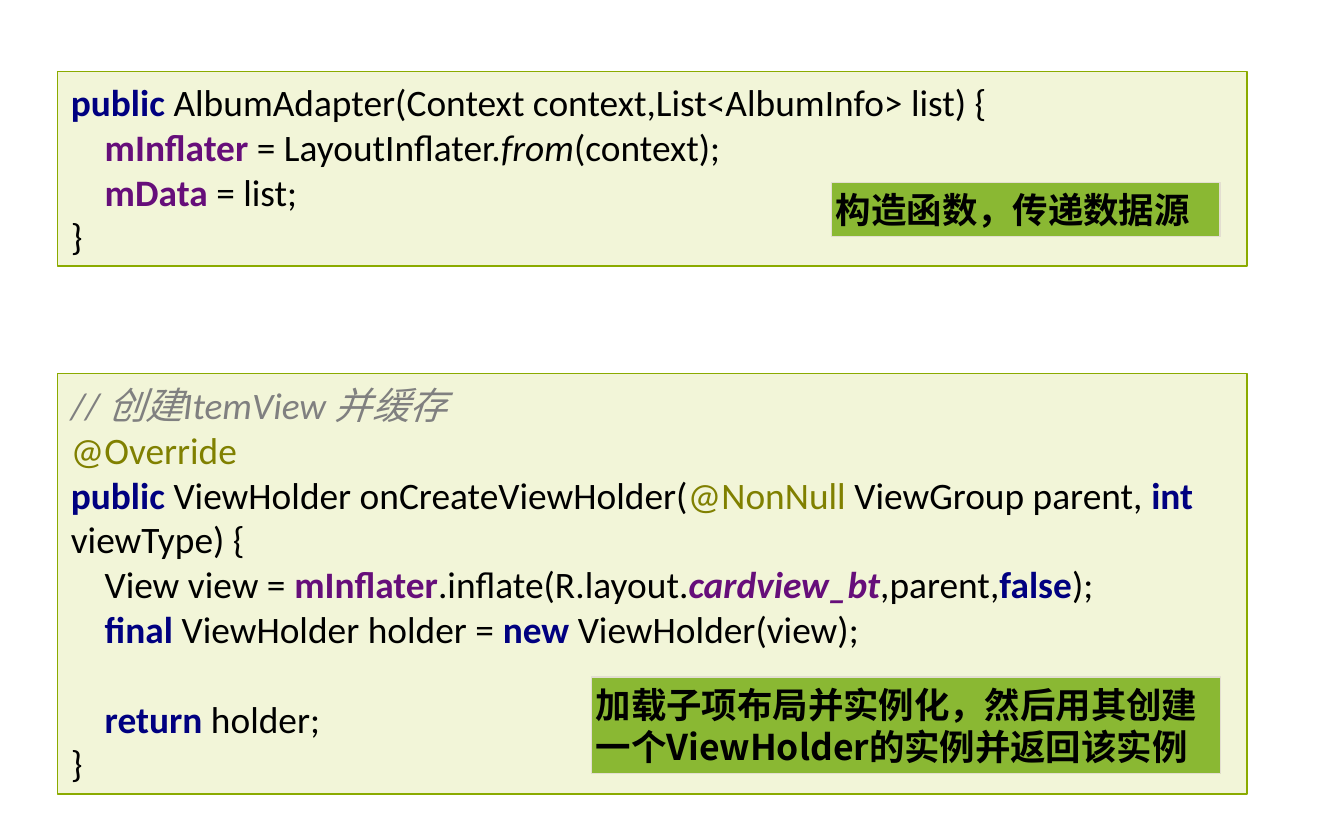
from copy import deepcopy

from lxml.etree import SubElement
from pptx import Presentation
from pptx.dml.color import RGBColor
from pptx.enum.shapes import MSO_SHAPE as Shape
from pptx.enum.text import MSO_ANCHOR as Anchor, PP_ALIGN as Align
from pptx.oxml.ns import qn
from pptx.util import Cm, Pt

CJK_FONT = "Noto Sans CJK SC"
PLAIN = dict(color="000000")
KEYWORD = dict(color="000080", bold=True)
FIELD = dict(color="660E7A", bold=True)
ANNOTATION = dict(color="808000")
COMMENT = dict(color="808080", italic=True)
STATIC_METHOD = dict(PLAIN, italic=True)
STATIC_FIELD = dict(FIELD, italic=True)

CONSTRUCTOR = [
    [("public ", KEYWORD), ("AlbumAdapter(Context context,List<AlbumInfo> list) {", PLAIN)],
    [("    ", PLAIN), ("mInflater ", FIELD), ("= LayoutInflater.", PLAIN),
     ("from", STATIC_METHOD), ("(context);", PLAIN)],
    [("    ", PLAIN), ("mData ", FIELD), ("= list;", PLAIN)],
    [("}", PLAIN)],
]
CREATE_HOLDER = [
    [("// 创建ItemView 并缓存", COMMENT)],
    [("@Override", ANNOTATION)],
    [("public ", KEYWORD), ("ViewHolder onCreateViewHolder(", PLAIN),
     ("@NonNull ", ANNOTATION), ("ViewGroup parent, ", PLAIN),
     ("int ", KEYWORD), ("viewType) {", PLAIN)],
    [("    View view = ", PLAIN), ("mInflater", FIELD), (".inflate(R.layout.", PLAIN),
     ("cardview_bt", STATIC_FIELD), (",parent,", PLAIN), ("false", KEYWORD), (");", PLAIN)],
    [("    ", PLAIN), ("final ", KEYWORD), ("ViewHolder holder = ", PLAIN),
     ("new ", KEYWORD), ("ViewHolder(view);", PLAIN)],
    [],
    [("    ", PLAIN), ("return ", KEYWORD), ("holder;", PLAIN)],
    [("}", PLAIN)],
]


def rgb(value):
    return RGBColor.from_string(value)


def add_text(paragraph, text, *, color, size=20, font="Calibri", bold=False, italic=False):
    run = paragraph.add_run()
    run.text = text
    run.font.size = Pt(size)
    run.font.name = font
    run.font.bold = bold
    run.font.italic = italic
    run.font.color.rgb = rgb(color)
    properties = run._r.get_or_add_rPr()
    SubElement(properties, qn("a:ea"), typeface=CJK_FONT)
    return properties


def add_panel(slide, left, top, width, height, fill, border):
    """Add a bordered rectangle and return its text frame."""
    panel = slide.shapes.add_shape(Shape.RECTANGLE, Cm(left), Cm(top), Cm(width), Cm(height))
    panel.shadow.inherit = False
    panel.fill.solid()
    panel.fill.fore_color.rgb = rgb(fill)
    panel.line.color.rgb = rgb(border)
    panel.line.width = Pt(0.75)
    frame = panel.text_frame
    frame.word_wrap = True
    frame.vertical_anchor = Anchor.MIDDLE
    frame.paragraphs[0].alignment = Align.LEFT
    return frame


def add_code(slide, top, height, lines):
    frame = add_panel(slide, 1.09, top, 22.48, height, "F2F5D8", "8BAB00")
    paragraph = frame.paragraphs[0]
    properties = None
    for number, line in enumerate(lines):
        if number:
            # A break carries the text format, so an empty line keeps its height.
            paragraph.add_line_break()
            paragraph._p[-1].append(deepcopy(properties))
        for text, style in line:
            properties = add_text(paragraph, text, **style)


def add_callout(slide, left, top, width, height, text):
    frame = add_panel(slide, left, top, width, height, "8AB833", "E3DED1")
    frame.margin_left = frame.margin_right = Cm(0.08)
    frame.margin_top = frame.margin_bottom = Cm(0.1)
    add_text(frame.paragraphs[0], text, color="000000", size=19, font=CJK_FONT, bold=True)


def main():
    deck = Presentation()
    deck.slide_width, deck.slide_height = Cm(25.4), Cm(15.88)
    slide = deck.slides.add_slide(deck.slide_layouts[6])
    add_code(slide, 1.35, 3.68, CONSTRUCTOR)
    add_callout(slide, 15.72, 3.45, 7.34, 1.02, "构造函数，传递数据源")
    add_code(slide, 7.06, 7.95, CREATE_HOLDER)
    add_callout(slide, 11.18, 12.8, 11.89, 1.83,
                "加载子项布局并实例化，然后用其创建一个ViewHolder的实例并返回该实例")
    deck.save("out.pptx")


if __name__ == "__main__":
    main()
